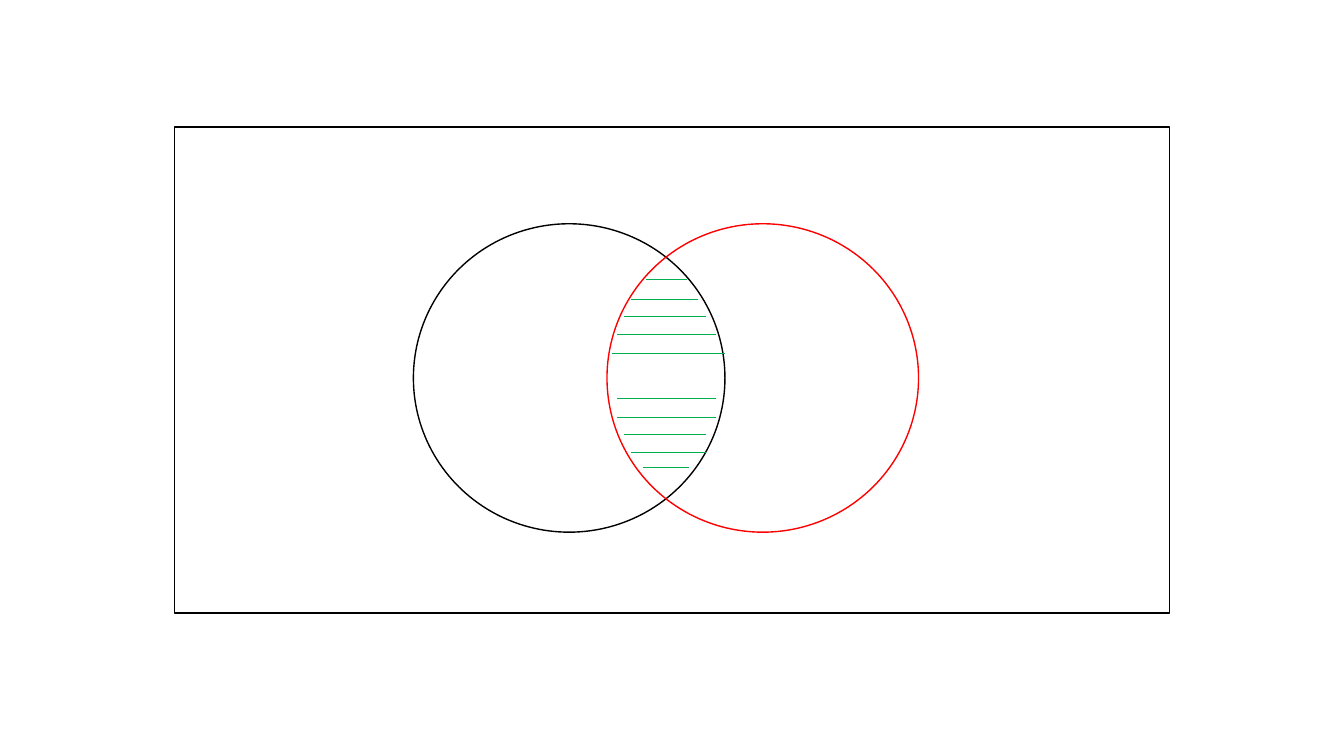
from lxml.etree import SubElement
from pptx import Presentation
from pptx.dml.color import RGBColor
from pptx.enum.shapes import MSO_CONNECTOR, MSO_SHAPE
from pptx.oxml.ns import qn
from pptx.util import Pt

PX = 9144  # 100 px to the inch
COLOURS = {"black": "000000", "red": "FF0000", "green": "00B050"}

deck = Presentation()
deck.slide_width, deck.slide_height = 1333 * PX, 750 * PX
page = deck.slides.add_slide(deck.slide_layouts[6])

# Universal set and the two overlapping sets
outlines = [
    (MSO_SHAPE.RECTANGLE, 173, 126, 987, 482, "black"),
    (MSO_SHAPE.OVAL, 410, 222, 309, 306, "black"),
    (MSO_SHAPE.OVAL, 602, 222, 309, 306, "red"),
]
for kind, left, top, width, height, colour in outlines:
    shape = page.shapes.add_shape(kind, left * PX, top * PX, width * PX, height * PX)
    shape.shadow.inherit = False
    shape.fill.background()
    shape.line.color.rgb = RGBColor.from_string(COLOURS[colour])
    shape.line.width = Pt(1)

# Hatching of the intersection: left end, right end, height
hatching = [
    (641, 681, 277),
    (626, 692, 297),
    (619, 700, 314),
    (612, 710, 332),
    (607, 719, 351),
    (612, 710, 395),
    (612, 710, 414),
    (619, 700, 431),
    (626, 700, 449),
    (638, 683, 464),
]
for left, right, y in hatching:
    hatch = page.shapes.add_connector(
        MSO_CONNECTOR.STRAIGHT, left * PX, y * PX, right * PX, y * PX)
    hatch.line.color.rgb = RGBColor.from_string(COLOURS["green"])
    hatch.line.width = Pt(0.5)
    SubElement(hatch._element.spPr, qn("a:effectLst"))

deck.save("out.pptx")
